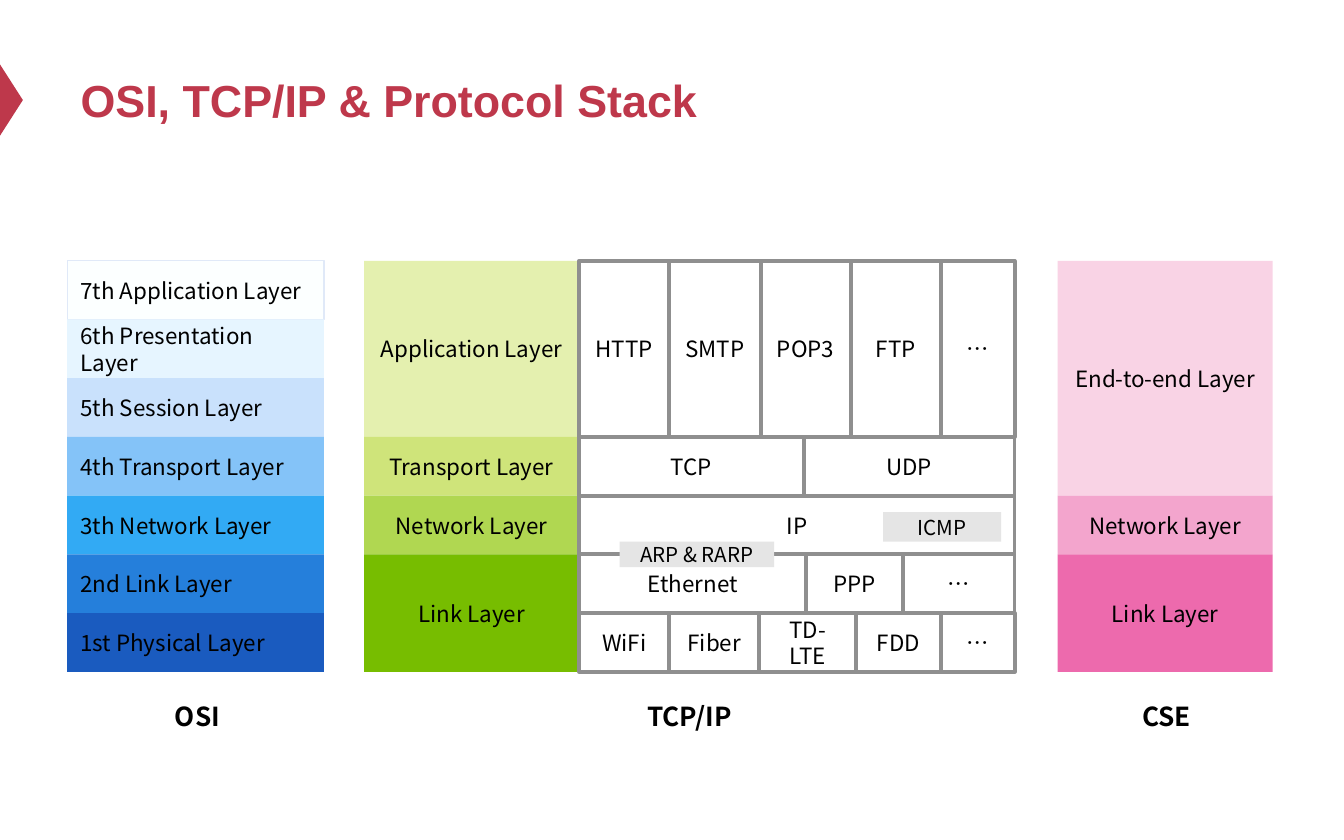
from lxml import etree
from pptx import Presentation
from pptx.dml.color import RGBColor
from pptx.enum.shapes import MSO_SHAPE as Shape
from pptx.enum.text import MSO_ANCHOR as Anchor, PP_ALIGN as Align
from pptx.oxml.ns import qn
from pptx.util import Inches, Pt

COLORS = {
    "accent": "BE384B", "text": "000000", "cell": "FFFFFF",
    "border": "8F8F8F", "osi_border": "E0E9F8", "tag": "E5E5E5",
    "osi7": "FCFFFF", "osi6": "E6F5FF", "osi5": "C9E1FC", "osi4": "84C3F8",
    "osi3": "32AAF4", "osi2": "257FDB", "osi1": "1A5BBF",
    "tcp_app": "E4F0AF", "tcp_transport": "CFE47A",
    "tcp_network": "B0D751", "tcp_link": "77BD00",
    "cse_end": "F9D3E5", "cse_network": "F3A5CD", "cse_link": "ED6AAD",
}
BODY_FONT = "Noto Sans CJK SC"
TOP, HEIGHT, ROWS = 1.94, 3.06, 7
ROW = HEIGHT / ROWS

# Each layer: text, height in rows, fill
OSI_LAYERS = [
    ("7th Application Layer", 1, "osi7"),
    ("6th Presentation Layer", 1, "osi6"),
    ("5th Session Layer", 1, "osi5"),
    ("4th Transport Layer", 1, "osi4"),
    ("3th Network Layer", 1, "osi3"),
    ("2nd Link Layer", 1, "osi2"),
    ("1st Physical Layer", 1, "osi1"),
]
TCP_LAYERS = [
    ("Application Layer", 3, "tcp_app"),
    ("Transport Layer", 1, "tcp_transport"),
    ("Network Layer", 1, "tcp_network"),
    ("Link Layer", 2, "tcp_link"),
]
CSE_LAYERS = [
    ("End-to-end Layer", 4, "cse_end"),
    ("Network Layer", 1, "cse_network"),
    ("Link Layer", 2, "cse_link"),
]
# Each protocol row: height in rows, then name and width of each cell
PROTOCOLS = [
    (3, [("HTTP", 0.67), ("SMTP", 0.68), ("POP3", 0.67), ("FTP", 0.67), ("…", 0.55)]),
    (1, [("TCP", 1.67), ("UDP", 1.57)]),
    (1, [("IP", 3.24)]),
    (1, [("Ethernet", 1.69), ("PPP", 0.72), ("…", 0.83)]),
    (1, [("WiFi", 0.67), ("Fiber", 0.67), ("TD-LTE", 0.72), ("FDD", 0.63), ("…", 0.55)]),
]


def color(name):
    return RGBColor.from_string(COLORS[name])


def write(shape, text, size=12, font=BODY_FONT, ink="text", bold=False,
          align=Align.CENTER, anchor=Anchor.MIDDLE, inset=0.0):
    """Put formatted text in a shape."""
    frame = shape.text_frame
    frame.word_wrap = True
    frame.vertical_anchor = anchor
    frame.margin_left = frame.margin_right = Inches(0.1)
    frame.margin_top = frame.margin_bottom = Inches(inset)
    paragraph = frame.paragraphs[0]
    paragraph.alignment = align
    run = paragraph.add_run()
    run.text = text
    run.font.size, run.font.bold, run.font.name = Pt(size), bold, font
    run.font.color.rgb = color(ink)
    # The ellipsis takes the East Asian font
    etree.SubElement(run.font._element, qn("a:ea"), typeface=font)


def block(slide, box, fill, border=None, width=0.75, kind=Shape.RECTANGLE):
    shape = slide.shapes.add_shape(kind, *map(Inches, box))
    shape.shadow.inherit = False
    shape.fill.solid()
    shape.fill.fore_color.rgb = color(fill)
    if border:
        shape.line.color.rgb = color(border)
        shape.line.width = Pt(width)
    else:
        shape.line.fill.background()
    return shape


def add_heading(slide, box):
    marker = block(slide, (-0.18, 0.66, 0.53, 0.17), "accent",
                   kind=Shape.ISOSCELES_TRIANGLE)
    marker.rotation = 90
    title = slide.shapes.title
    title.left, title.top, title.width, title.height = map(Inches, box)
    write(title, "OSI, TCP/IP & Protocol Stack", size=24, font="Arial",
          ink="accent", bold=True, align=Align.LEFT, inset=0.05)


def add_layers(slide, box, layers, align=Align.CENTER, first_border=None):
    """Stack layers down a column."""
    left, top, width, height = box
    for index, (text, rows, fill) in enumerate(layers):
        depth = height * rows / ROWS
        border = first_border if index == 0 else None
        layer = block(slide, (left, top, width, depth), fill, border)
        write(layer, text, align=align)
        top += depth


def add_protocols(slide, box):
    """Draw the protocol cells and the tags that lie over them."""
    left, top, _, height = box
    y = top
    for rows, cells in PROTOCOLS:
        depth = height * rows / ROWS
        x = left
        for name, width in cells:
            write(block(slide, (x, y, width, depth), "cell", "border", 2), name)
            x += width
        y += depth
    tags = [("ICMP", (left + 2.26, top + 1.87, 0.88, 0.22)),
            ("ARP & RARP", (left + 0.3, top + 2.09, 1.15, 0.19))]
    for name, tag_box in tags:
        write(block(slide, tag_box, "tag"), name, size=11)


def add_caption(slide, box, text):
    caption = slide.shapes.add_textbox(*map(Inches, box))
    write(caption, text, size=14, bold=True, anchor=Anchor.TOP, inset=0.05)


def main():
    deck = Presentation()
    deck.slide_width, deck.slide_height = Inches(10), Inches(6.25)
    slide = deck.slides.add_slide(deck.slide_layouts[5])
    add_heading(slide, (0.5, 0.25, 9, 0.98))

    # The three models side by side
    add_layers(slide, (0.5, TOP, 1.91, HEIGHT), OSI_LAYERS,
               align=Align.LEFT, first_border="osi_border")
    add_layers(slide, (2.71, TOP, 1.6, HEIGHT), TCP_LAYERS)
    add_protocols(slide, (4.31, TOP, 3.24, HEIGHT))
    add_layers(slide, (7.87, TOP, 1.6, HEIGHT), CSE_LAYERS)

    # Model names below
    for text, left, width in [("OSI", 0.51, 1.92), ("TCP/IP", 2.7, 4.86),
                              ("CSE", 7.87, 1.62)]:
        add_caption(slide, (left, 5.16, width, 0.34), text)
    deck.save("out.pptx")


if __name__ == "__main__":
    main()
